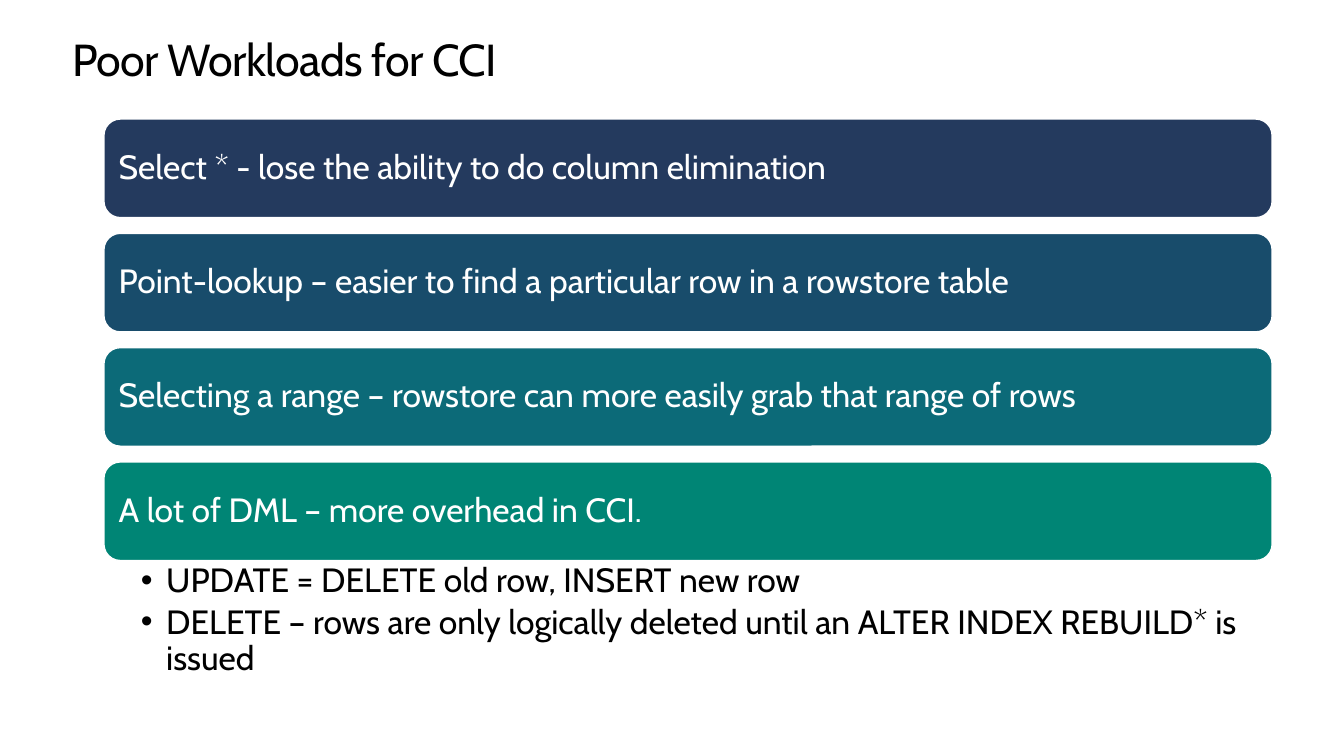
from lxml.etree import SubElement
from pptx import Presentation
from pptx.dml.color import RGBColor
from pptx.enum.shapes import MSO_SHAPE
from pptx.enum.text import MSO_ANCHOR, MSO_AUTO_SIZE, PP_ALIGN
from pptx.oxml.ns import qn
from pptx.util import Pt

FONT = "Cabin"
BLACK = RGBColor(0x00, 0x00, 0x00)
WHITE = RGBColor(0xFF, 0xFF, 0xFF)
NAVY = RGBColor(0x24, 0x3A, 0x5E)
BLUE = RGBColor(0x18, 0x4C, 0x6B)
TEAL = RGBColor(0x0C, 0x6A, 0x78)
GREEN = RGBColor(0x00, 0x85, 0x75)

WORKLOADS = [
    ("Select * - lose the ability to do column elimination", NAVY),
    ("Point-lookup – easier to find a particular row in a rowstore table", BLUE),
    ("Selecting a range – rowstore can more easily grab that range of rows", TEAL),
    ("A lot of DML – more overhead in CCI.", GREEN),
]
DML_DETAILS = [
    "UPDATE = DELETE old row, INSERT new row",
    "DELETE – rows are only logically deleted until an ALTER INDEX REBUILD* is issued",
]


def place(shape, left, top, width, height):
    shape.left, shape.top = Pt(left), Pt(top)
    shape.width, shape.height = Pt(width), Pt(height)


def set_frame(frame, anchor, left, top, right, bottom):
    frame.word_wrap = True
    frame.auto_size = MSO_AUTO_SIZE.NONE
    frame.vertical_anchor = anchor
    frame.margin_left, frame.margin_top = Pt(left), Pt(top)
    frame.margin_right, frame.margin_bottom = Pt(right), Pt(bottom)


def format_paragraph(paragraph, size, color, line_spacing):
    paragraph.alignment = PP_ALIGN.LEFT
    paragraph.line_spacing = line_spacing
    paragraph.space_before = Pt(0)
    for run in paragraph.runs:
        run.font.name = FONT
        run.font.size = Pt(size)
        run.font.color.rgb = color


def add_title(slide, text, box):
    title = slide.shapes.title
    place(title, *box)
    set_frame(title.text_frame, MSO_ANCHOR.TOP, 0, 0, 0, 0)
    title.text_frame.text = text
    heading = title.text_frame.paragraphs[0]
    format_paragraph(heading, 32, BLACK, Pt(36.2))
    heading.runs[0].font._element.set("spc", "-50")


def add_workload_bars(slide, workloads, box, gap):
    left, top, width, height = box
    bar_height = (height - gap * (len(workloads) - 1)) / len(workloads)
    for row, (text, color) in enumerate(workloads):
        bar = slide.shapes.add_shape(
            MSO_SHAPE.ROUNDED_RECTANGLE, Pt(left), Pt(top + row * (bar_height + gap)),
            Pt(width), Pt(bar_height))
        bar.shadow.inherit = False
        bar.fill.solid()
        bar.fill.fore_color.rgb = color
        bar.line.color.rgb = WHITE
        bar.line.width = Pt(1)
        set_frame(bar.text_frame, MSO_ANCHOR.MIDDLE, 7.2, 7.2, 7.2, 7.2)
        bar.text_frame.text = text
        format_paragraph(bar.text_frame.paragraphs[0], 24, WHITE, 0.9)


def add_details(slide, details, box):
    body = slide.placeholders[1]
    place(body, *box)
    set_frame(body.text_frame, MSO_ANCHOR.TOP, 26.5, 2.2, 13.7, 2.2)
    body.text_frame.text = "\n".join(details)
    for detail in body.text_frame.paragraphs:
        # Hanging bullet
        properties = detail._p.get_or_add_pPr()
        properties.set("marL", str(Pt(18)))
        properties.set("indent", str(-Pt(18)))
        SubElement(properties, qn("a:buChar")).set("char", "•")
        format_paragraph(detail, 24, BLACK, 0.9)
        detail.space_after = Pt(3.6)


def build_workload_slide(deck):
    slide = deck.slides.add_slide(deck.slide_layouts[1])
    left, width = 74.2, 834.5
    # Heading
    add_title(slide, "Poor Workloads for CCI", (51.8, 25.2, 856.8, 72.7))
    # Stack of workload bars
    add_workload_bars(slide, WORKLOADS, (left, 85, width, 315.4), 11.2)
    # Notes on DML below the last bar
    add_details(slide, DML_DETAILS, (left, 400.4, width, 98))


def main():
    deck = Presentation()
    deck.slide_width, deck.slide_height = Pt(960), Pt(540)
    build_workload_slide(deck)
    deck.save("out.pptx")


if __name__ == "__main__":
    main()
